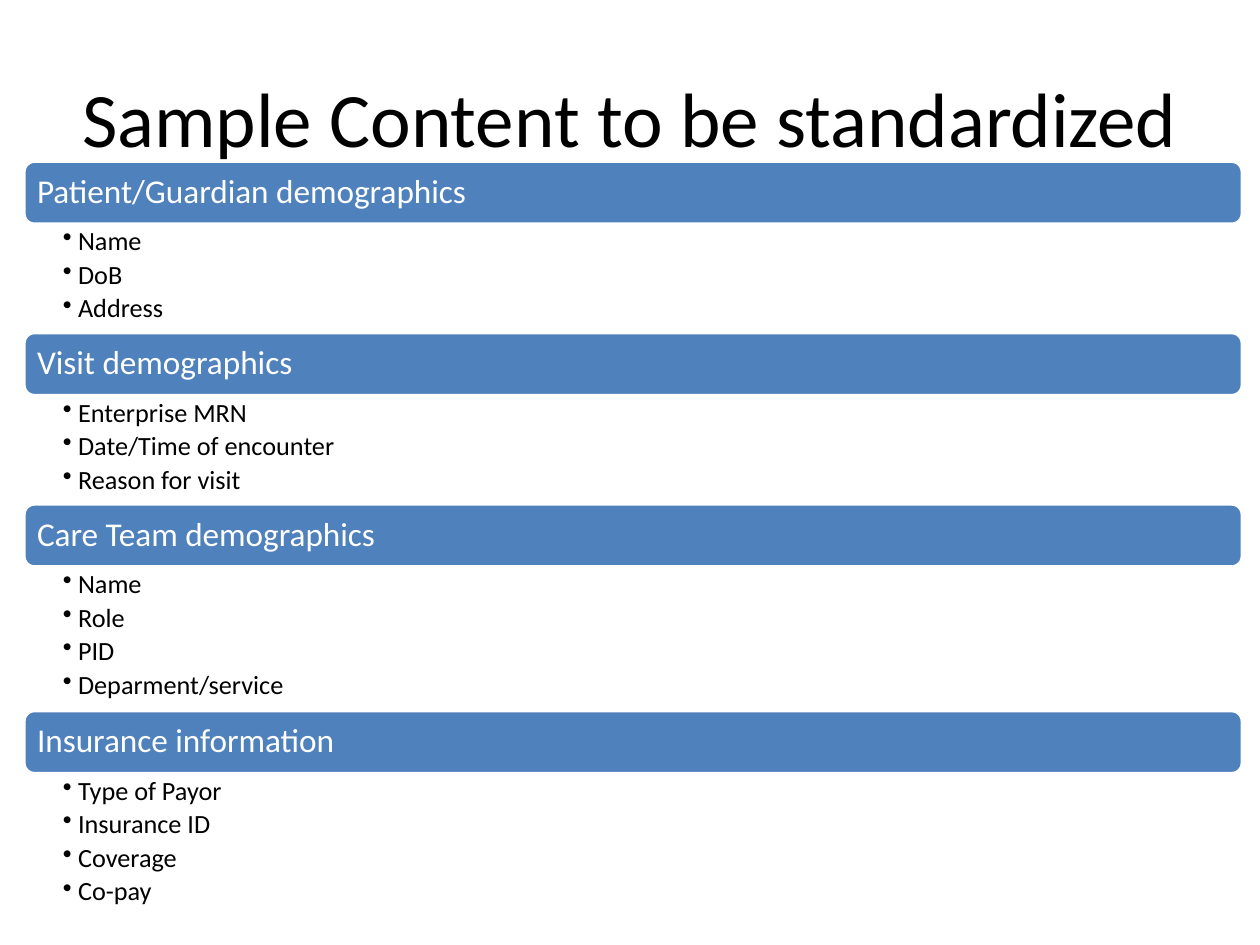
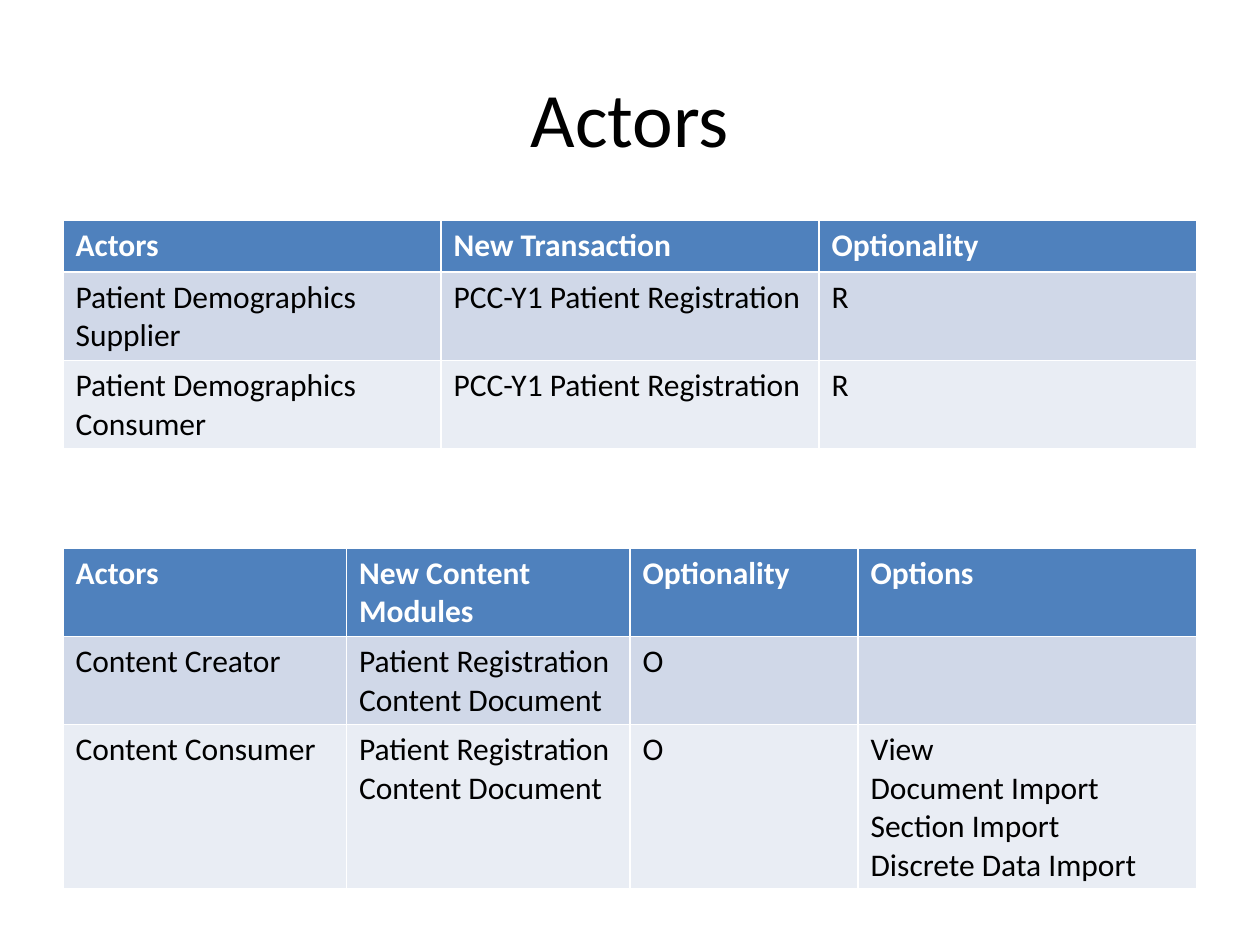
from lxml.etree import SubElement
from pptx import Presentation
from pptx.dml.color import RGBColor
from pptx.enum.shapes import MSO_SHAPE
from pptx.enum.text import MSO_ANCHOR, PP_ALIGN
from pptx.oxml.ns import qn
from pptx.util import Inches, Pt

BLUE = RGBColor(0x4F, 0x81, 0xBD)
PALE_BLUE = RGBColor(0xD0, 0xD8, 0xE8)
PALER_BLUE = RGBColor(0xE9, 0xED, 0xF4)
WHITE = RGBColor(0xFF, 0xFF, 0xFF)
BLACK = RGBColor(0x00, 0x00, 0x00)
FONT = "Calibri"
ROW_FILLS = [BLUE, PALE_BLUE, PALER_BLUE]


def format_text(frame, size, color, bold=False):
    for paragraph in frame.paragraphs:
        for run in paragraph.runs:
            run.font.name = FONT
            run.font.size = Pt(size)
            run.font.color.rgb = color
            run.font.bold = bold


def add_titled_slide(title):
    slide = prs.slides.add_slide(prs.slide_layouts[6])
    heading = slide.shapes.add_textbox(Inches(0.5), Inches(0.3), Inches(9), Inches(1.25))
    frame = heading.text_frame
    frame.word_wrap = True
    frame.vertical_anchor = MSO_ANCHOR.MIDDLE
    frame.text = title
    frame.paragraphs[0].alignment = PP_ALIGN.CENTER
    format_text(frame, 44, BLACK)
    return slide


prs = Presentation()
prs.slide_width = Inches(10)
prs.slide_height = Inches(7.5)

content_slide = add_titled_slide("Sample Content to be standardized")

SECTIONS = [
    ("Patient/Guardian demographics", ["Name", "DoB", "Address"]),
    ("Visit demographics", ["Enterprise MRN", "Date/Time of encounter", "Reason for visit"]),
    ("Care Team demographics", ["Name", "Role", "PID", "Deparment/service"]),
    ("Insurance information", ["Type of Payor", "Insurance ID", "Coverage", "Co-pay"]),
]
LEFT, WIDTH, BAND_HEIGHT = 0.19, 9.67, 0.5

top = 1.28
for section, items in SECTIONS:
    band = content_slide.shapes.add_shape(
        MSO_SHAPE.ROUNDED_RECTANGLE, Inches(LEFT), Inches(top), Inches(WIDTH), Inches(BAND_HEIGHT))
    band.shadow.inherit = False
    band.fill.solid()
    band.fill.fore_color.rgb = BLUE
    band.line.color.rgb = WHITE
    band.line.width = Pt(2)
    frame = band.text_frame
    frame.margin_left = frame.margin_right = Inches(0.08)
    frame.vertical_anchor = MSO_ANCHOR.MIDDLE
    frame.text = section
    frame.paragraphs[0].alignment = PP_ALIGN.LEFT
    frame.paragraphs[0].line_spacing = 0.9
    format_text(frame, 19, WHITE)
    top += BAND_HEIGHT

    list_height = 0.02 + 0.28 * len(items)
    item_list = content_slide.shapes.add_textbox(
        Inches(LEFT), Inches(top), Inches(WIDTH), Inches(list_height))
    frame = item_list.text_frame
    frame.word_wrap = True
    frame.margin_left, frame.margin_right = Inches(0.31), Inches(0.15)
    frame.margin_top = frame.margin_bottom = Inches(0.03)
    frame.text = "\n".join(items)
    for paragraph in frame.paragraphs:
        paragraph.line_spacing = 0.9
        paragraph.space_after = Pt(3)
        properties = paragraph._p.get_or_add_pPr()
        properties.set("marL", str(Inches(0.12)))
        properties.set("indent", str(Inches(-0.12)))
        SubElement(properties, qn("a:buChar")).set("char", "•")
    format_text(frame, 15, BLACK)
    top += list_height

actors_slide = add_titled_slide("Actors")

TABLES = [
    (1.75, [3, 3, 3], [
        ["Actors", "New Transaction", "Optionality"],
        ["Patient Demographics Supplier", "PCC-Y1 Patient Registration", "R"],
        ["Patient Demographics Consumer", "PCC-Y1 Patient Registration", "R"],
    ]),
    (4.35, [2.25, 2.25, 1.81, 2.69], [
        ["Actors", "New Content Modules", "Optionality", "Options"],
        ["Content Creator", "Patient Registration Content Document", "O", ""],
        ["Content Consumer", "Patient Registration Content Document", "O",
         "View\nDocument Import Section Import\nDiscrete Data Import"],
    ]),
]

for table_top, column_widths, rows in TABLES:
    actors = actors_slide.shapes.add_table(
        len(rows), len(column_widths), Inches(0.5), Inches(table_top),
        Inches(9), Inches(0.41 * len(rows))).table
    for column, width in zip(actors.columns, column_widths):
        column.width = Inches(width)
    for r, (row, row_fill) in enumerate(zip(rows, ROW_FILLS)):
        for c, text in enumerate(row):
            cell = actors.cell(r, c)
            cell.fill.solid()
            cell.fill.fore_color.rgb = row_fill
            cell.text_frame.text = text
            format_text(cell.text_frame, 18, WHITE if r == 0 else BLACK, bold=r == 0)

prs.save("out.pptx")
